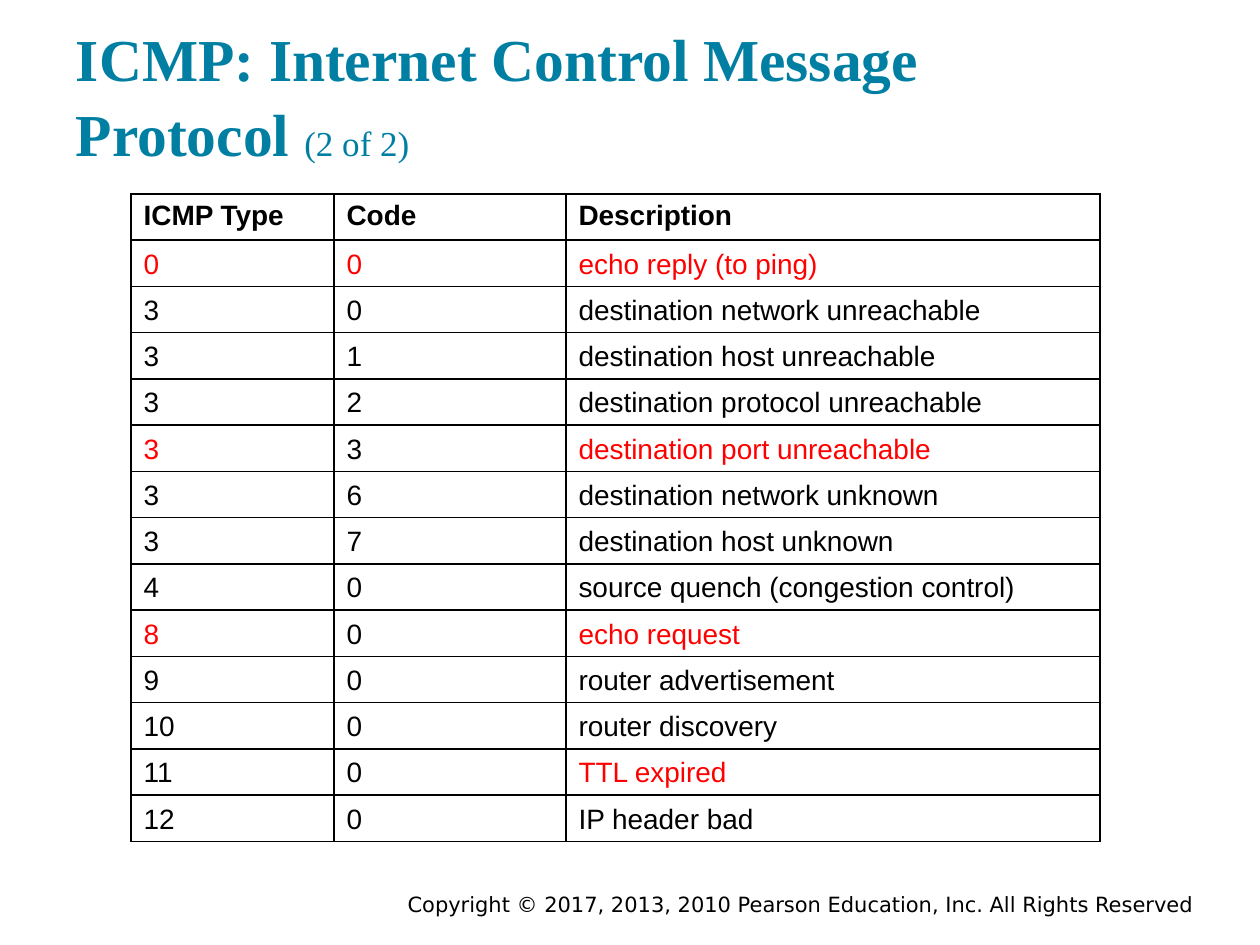
from lxml.etree import SubElement
from pptx import Presentation
from pptx.dml.color import RGBColor
from pptx.enum.text import MSO_ANCHOR, PP_ALIGN
from pptx.oxml.ns import qn
from pptx.util import Pt

EMU_PER_PX = 914400 / 126
COLORS = {"title": "007FA3", "text": "000000", "highlight": "FF0000", "border": "000000"}
FONTS = {"title": "Times New Roman", "table": "Arial", "footer": "DejaVu Sans"}

HEADER = ("ICMP Type", "Code", "Description")
MESSAGES = [
    ("0", "0", "echo reply (to ping)"),
    ("3", "0", "destination network unreachable"),
    ("3", "1", "destination host unreachable"),
    ("3", "2", "destination protocol unreachable"),
    ("3", "3", "destination port unreachable"),
    ("3", "6", "destination network unknown"),
    ("3", "7", "destination host unknown"),
    ("4", "0", "source quench (congestion control)"),
    ("8", "0", "echo request"),
    ("9", "0", "router advertisement"),
    ("10", "0", "router discovery"),
    ("11", "0", "TTL expired"),
    ("12", "0", "IP header bad"),
]
# Highlighted columns by table row (the header is row 0)
HIGHLIGHTS = {1: (0, 1, 2), 5: (0, 2), 9: (0, 2), 12: (2,)}


def px(length):
    return round(length * EMU_PER_PX)


class SlideBuilder:
    def __init__(self, slide):
        self.slide = slide

    def format_run(self, run, font, size, color, bold=False):
        run.font.name = FONTS[font]
        run.font.size = Pt(size)
        run.font.bold = bold
        run.font.color.rgb = RGBColor.from_string(COLORS[color])

    def text(self, box, runs, font, color, anchor, align=PP_ALIGN.LEFT,
             inset=(13, 13), spacing=1.0):
        """Each run is (wording, size, bold); inset is (side, top and bottom)."""
        frame = self.slide.shapes.add_textbox(*map(px, box)).text_frame
        frame.word_wrap = True
        frame.vertical_anchor = anchor
        frame.margin_left = frame.margin_right = px(inset[0])
        frame.margin_top = frame.margin_bottom = px(inset[1])
        paragraph = frame.paragraphs[0]
        paragraph.alignment = align
        paragraph.line_spacing = spacing
        for wording, size, bold in runs:
            run = paragraph.add_run()
            run.text = wording
            self.format_run(run, font, size, color, bold)

    def border(self, cell, width=1):
        properties = cell._tc.get_or_add_tcPr()
        for side in ("lnL", "lnR", "lnT", "lnB"):
            line = SubElement(properties, qn(f"a:{side}"), w=str(Pt(width)))
            fill = SubElement(line, qn("a:solidFill"))
            SubElement(fill, qn("a:srgbClr"), val=COLORS["border"])

    def table(self, left, top, widths, height, rows, highlights):
        table = self.slide.shapes.add_table(
            len(rows), len(widths), px(left), px(top), px(sum(widths)), px(height)).table
        table.first_row = table.horz_banding = False
        for column, width in zip(table.columns, widths):
            column.width = px(width)
        for r, values in enumerate(rows):
            table.rows[r].height = px(height / len(rows))
            for c, value in enumerate(values):
                cell = table.cell(r, c)
                cell.text_frame.text = value
                cell.vertical_anchor = MSO_ANCHOR.BOTTOM if r else MSO_ANCHOR.TOP
                color = "highlight" if c in highlights.get(r, ()) else "text"
                self.format_run(cell.text_frame.paragraphs[0].runs[0],
                                "table", 16, color, bold=r == 0)
                self.border(cell)
                cell.fill.background()


def main():
    presentation = Presentation()
    presentation.slide_width, presentation.slide_height = px(1260), px(945)
    builder = SlideBuilder(presentation.slides.add_slide(presentation.slide_layouts[6]))

    # Copyright line
    builder.text((368, 888, 839, 32),
                 [("Copyright © 2017, 2013, 2010 Pearson Education, Inc. "
                   "All Rights Reserved", 12, False)],
                 "footer", "text", MSO_ANCHOR.MIDDLE, PP_ALIGN.RIGHT, inset=(13, 0))

    # Title
    builder.text((63, 11, 1087, 170),
                 [("ICMP: Internet Control Message Protocol ", 34, True),
                  ("(2 of 2)", 20, False)],
                 "title", "title", MSO_ANCHOR.BOTTOM, spacing=1.05)

    # ICMP message types
    builder.table(131, 194, (203, 232, 534), 647, [HEADER, *MESSAGES], HIGHLIGHTS)

    presentation.save("out.pptx")


if __name__ == "__main__":
    main()
